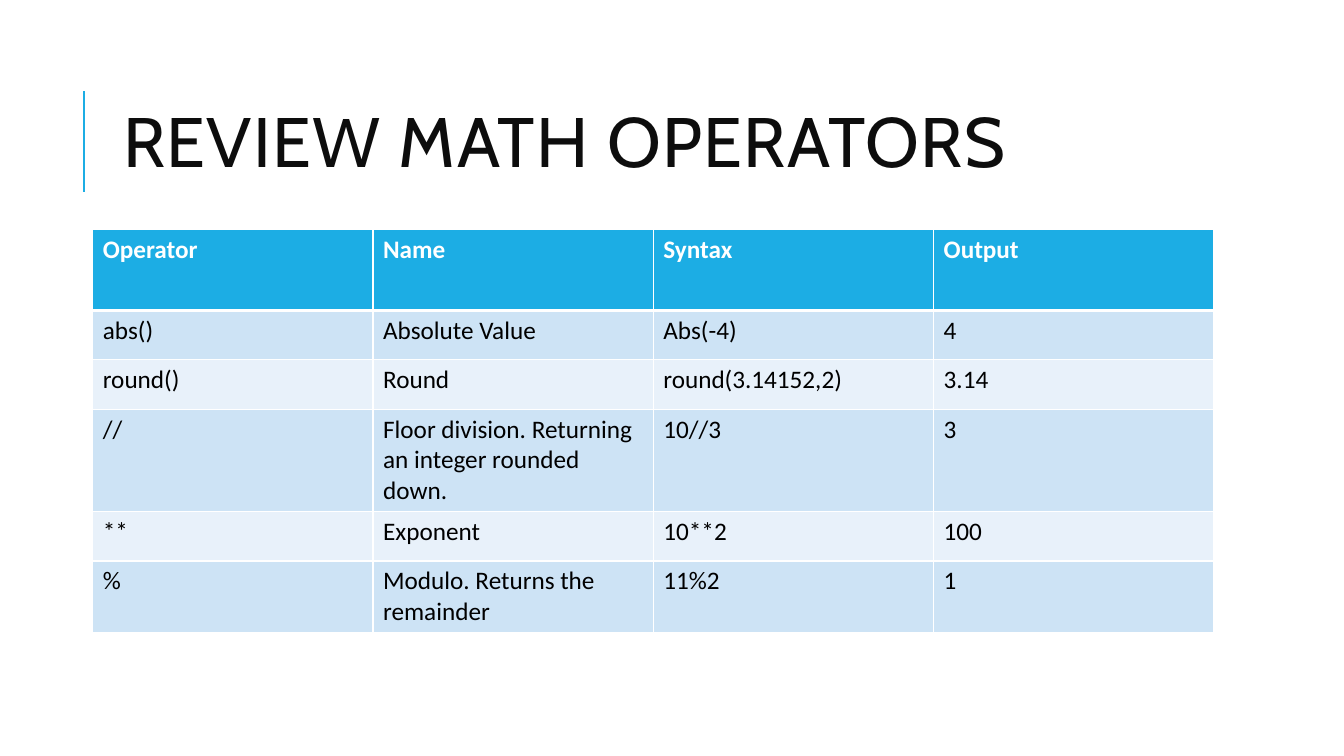
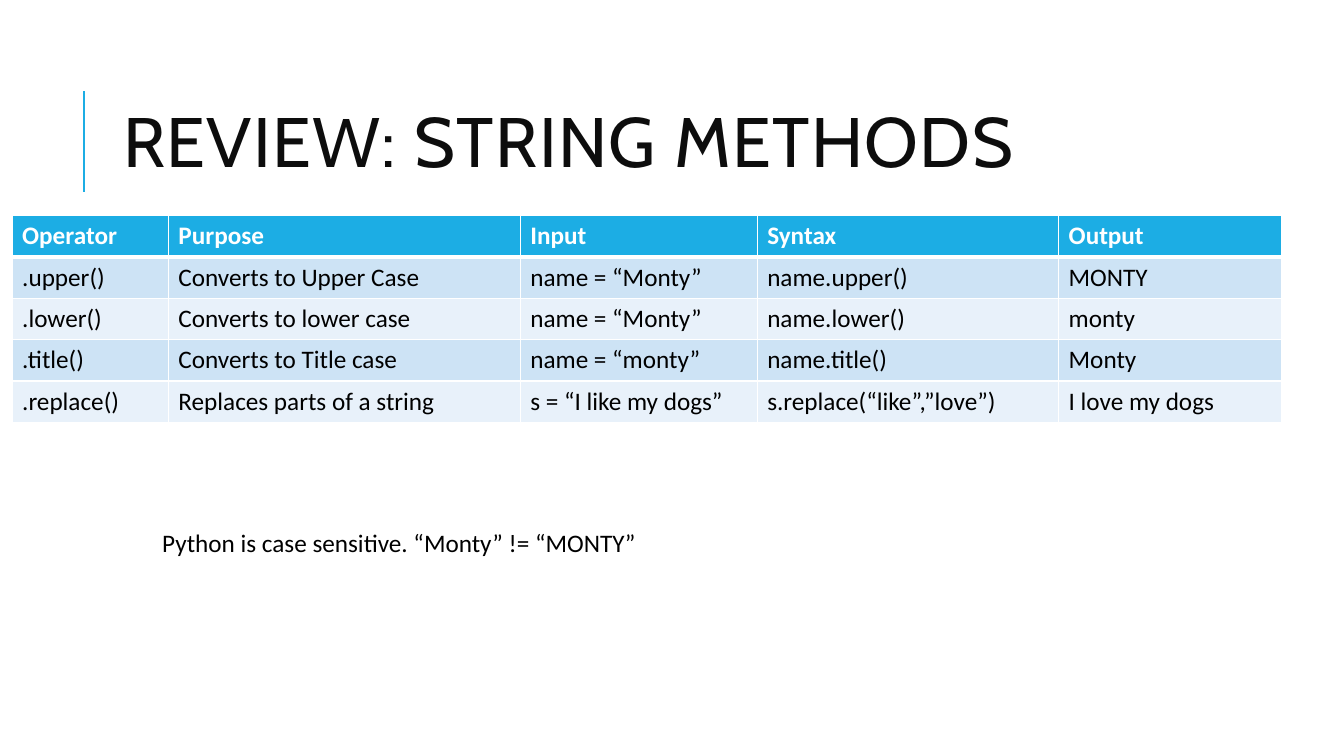
"""Build two review slides on Python math operators and string methods."""
import pptx
import pptx.dml.color
import pptx.enum.shapes
import pptx.enum.text
import pptx.oxml
import pptx.oxml.ns
import pptx.util

Inches = pptx.util.Inches
Pt = pptx.util.Pt
BLUE, PALE, LIGHT = "1CADE4", "CDE3F5", "E8F1FA"
WHITE, BLACK, INK = "FFFFFF", "000000", "0D0D0D"

TITLE = {"name": "Cabin", "size": Pt(50), "color": INK}
HEAD = {"name": "Calibri", "size": Pt(18), "bold": True, "color": WHITE}
BODY = {"name": "Calibri", "size": Pt(18), "bold": False, "color": BLACK}
FRAME = {
    "word_wrap": True,
    "auto_size": pptx.enum.text.MSO_AUTO_SIZE.NONE,
    "vertical_anchor": pptx.enum.text.MSO_ANCHOR.MIDDLE,
}
PLACE = {"left": Inches(1.12), "top": Inches(0.64),
         "width": Inches(10.63), "height": Inches(1.64)}

SLIDES = [
    {
        "title": "REVIEW MATH OPERATORS",
        "at": (0.92, 2.28),
        "cols": [2.78] * 4,
        "rows": [0.8, 0.49, 0.49, 0.6, 0.49, 0.6],
        "cells": [
            ("Operator", "Name", "Syntax", "Output"),
            ("abs()", "Absolute Value", "Abs(-4)", "4"),
            ("round()", "Round", "round(3.14152,2)", "3.14"),
            ("//", "Floor division. Returning an integer rounded down.", "10//3", "3"),
            ("**", "Exponent", "10**2", "100"),
            ("%", "Modulo. Returns the remainder", "11%2", "1"),
        ],
    },
    {
        "title": "REVIEW: STRING METHODS",
        "at": (0.12, 2.14),
        "cols": [1.55, 3.49, 2.35, 2.99, 2.21],
        "rows": [0.41] * 5,
        "cells": [
            ("Operator", "Purpose", "Input", "Syntax", "Output"),
            (".upper()", "Converts to Upper Case", "name = “Monty”", "name.upper()", "MONTY"),
            (".lower()", "Converts to lower case", "name = “Monty”", "name.lower()", "monty"),
            (".title()", "Converts to Title case", "name = “monty”", "name.title()", "Monty"),
            (".replace()", "Replaces parts of a string", "s = “I like my dogs”",
             "s.replace(“like”,”love”)", "I love my dogs"),
        ],
        "note": "Python is case sensitive. “Monty” != “MONTY”",
    },
]


def shade(text):
    return pptx.dml.color.RGBColor.from_string(text)


def apply(item, style):
    for key, value in style.items():
        if key == "color":
            item.color.rgb = shade(value)
        else:
            setattr(item, key, value)


def write(frame, text, style):
    run = frame.paragraphs[0].add_run()
    run.text = text
    apply(run.font, style)
    return run


def edge(cell, side, width):
    space = pptx.oxml.ns.nsdecls("a")
    cell._tc.get_or_add_tcPr().append(pptx.oxml.parse_xml(
        f'<a:ln{side} {space} w="{Pt(width)}"><a:solidFill>'
        f'<a:srgbClr val="{WHITE}"/></a:solidFill></a:ln{side}>'))


def set_up(deck):
    layout = deck.slide_layouts[5]
    apply(layout.placeholders[0], PLACE)
    return layout


def add_rule(slide, layout):
    x = Inches(0.83)
    rule = slide.shapes.add_connector(
        pptx.enum.shapes.MSO_CONNECTOR.STRAIGHT, x, Inches(1.9), x, Inches(0.9))
    apply(rule.line, {"color": BLUE, "width": Pt(1.5)})
    rule.element.spPr.append(pptx.oxml.parse_xml(
        f'<a:effectLst {pptx.oxml.ns.nsdecls("a")}/>'))
    layout.shapes.element.append(rule.element)


def add_title(slide, text):
    frame = slide.shapes.title.text_frame
    apply(frame, FRAME)
    run = write(frame, text, TITLE)
    run.font._element.set("spc", "100")
    apply(frame.paragraphs[0], {
        "line_spacing": 0.8, "alignment": pptx.enum.text.PP_ALIGN.LEFT})


def add_grid(slide, data):
    cols, rows = data["cols"], data["rows"]
    left, top = data["at"]
    grid = slide.shapes.add_table(
        len(rows), len(cols), Inches(left), Inches(top),
        Inches(sum(cols)), Inches(sum(rows))).table
    for col, width in zip(grid.columns, cols):
        col.width = Inches(width)
    for r, (row, height) in enumerate(zip(grid.rows, rows)):
        row.height = Inches(height)
        fill = BLUE if r == 0 else PALE if r % 2 else LIGHT
        for cell, text in zip(row.cells, data["cells"][r]):
            write(cell.text_frame, text, BODY if r else HEAD)
            widths = {"L": 1, "R": 1, "T": 3 if r == 1 else 1, "B": 1 if r else 3}
            for side, width in widths.items():
                edge(cell, side, width)
            cell.fill.solid()
            cell.fill.fore_color.rgb = shade(fill)


def add_note(slide, text):
    box = slide.shapes.add_textbox(Inches(1.51), Inches(5.18), Inches(5.92), Inches(0.4))
    box.text_frame.word_wrap = True
    write(box.text_frame, text, BODY)


def main():
    deck = pptx.Presentation()
    apply(deck, {"slide_width": Inches(13.33), "slide_height": Inches(7.5)})
    layout = set_up(deck)
    for page, data in enumerate(SLIDES):
        slide = deck.slides.add_slide(layout)
        if page == 0:
            add_rule(slide, layout)
        add_title(slide, data["title"])
        add_grid(slide, data)
        if "note" in data:
            add_note(slide, data["note"])
    deck.save("out.pptx")


if __name__ == "__main__":
    main()
